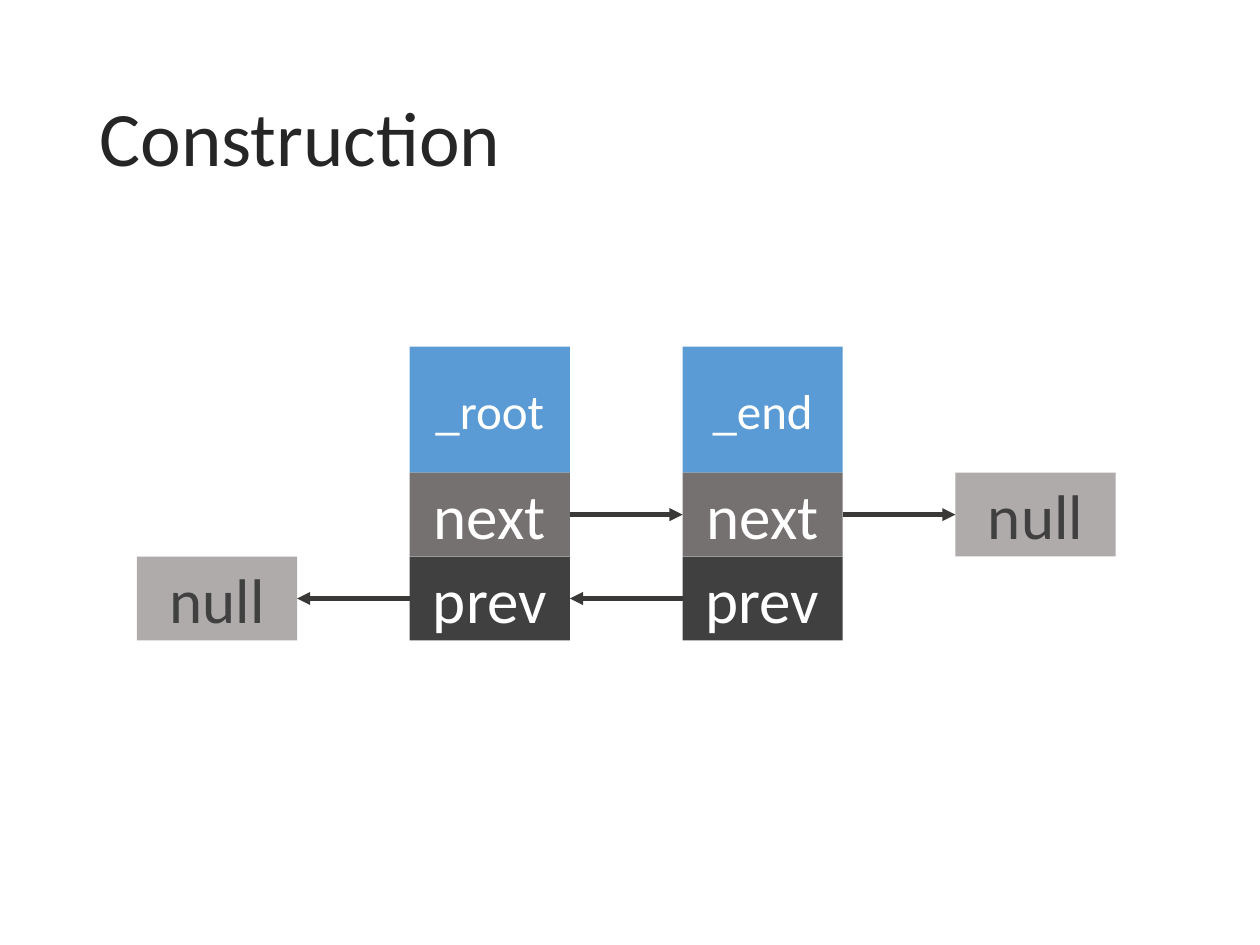
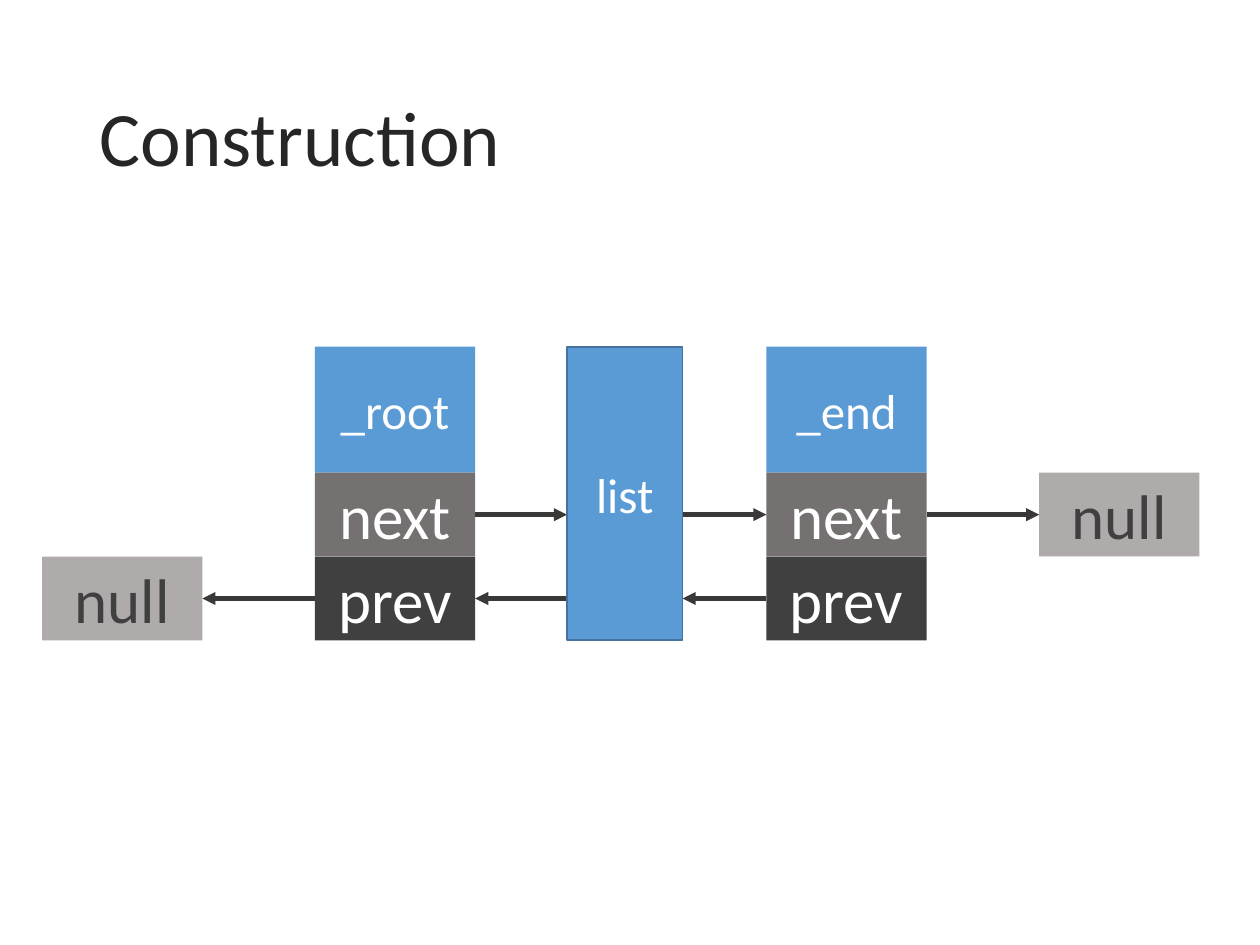
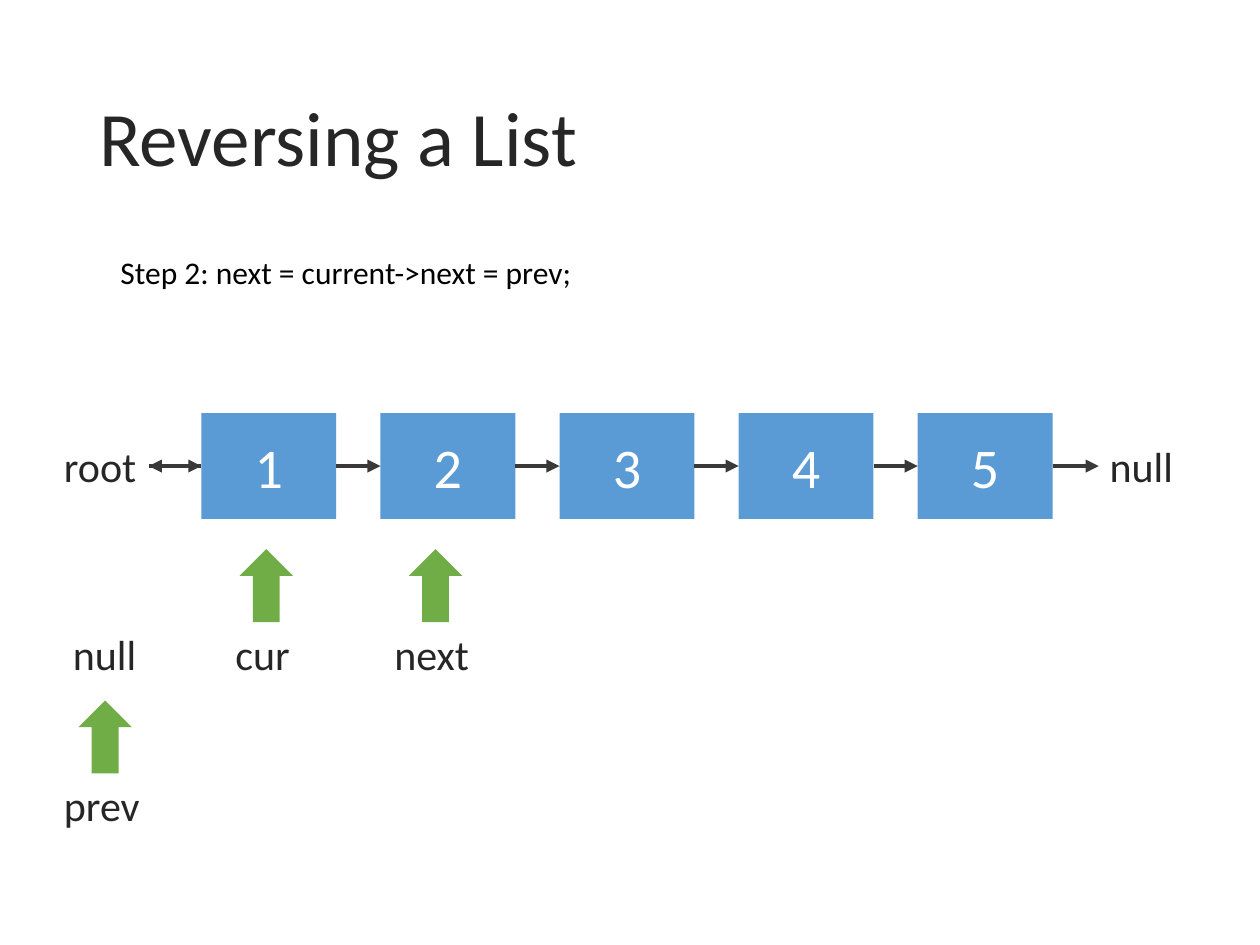
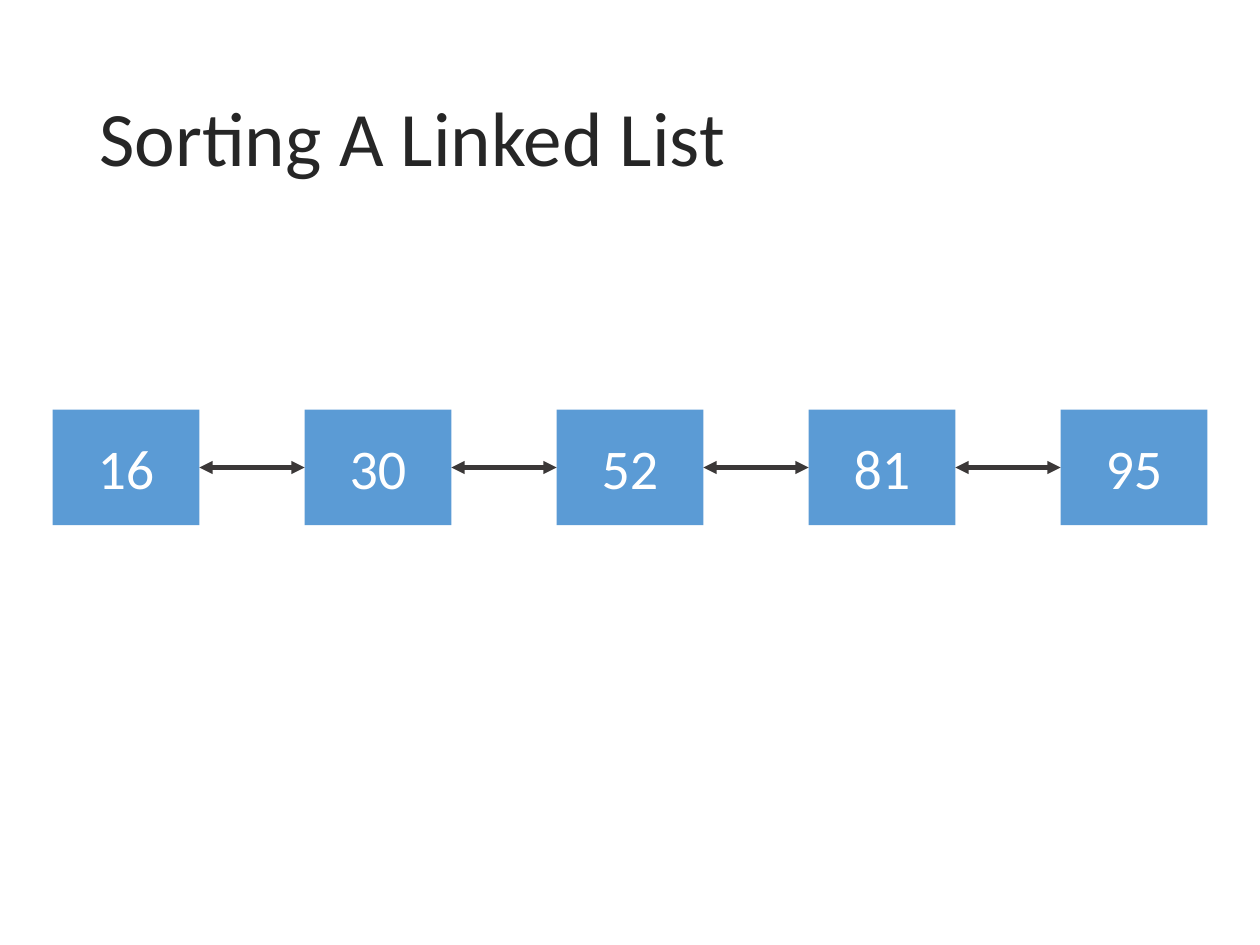
from lxml import etree
from pptx import Presentation
from pptx.dml.color import RGBColor
from pptx.enum.shapes import MSO_CONNECTOR, MSO_SHAPE
from pptx.enum.text import MSO_ANCHOR, MSO_AUTO_SIZE, PP_ALIGN
from pptx.oxml.ns import qn
from pptx.util import Cm, Pt

RECT, UP_ARROW = MSO_SHAPE.RECTANGLE, MSO_SHAPE.UP_ARROW
STRAIGHT = MSO_CONNECTOR.STRAIGHT
LEFT, CENTER = PP_ALIGN.LEFT, PP_ALIGN.CENTER
TOP, MIDDLE = MSO_ANCHOR.TOP, MSO_ANCHOR.MIDDLE
NO_FIT, GROW = MSO_AUTO_SIZE.NONE, MSO_AUTO_SIZE.SHAPE_TO_FIT_TEXT
LEFT_SIDE, RIGHT_SIDE = 1, 3
TITLE_ONLY = 5

FONT = "Calibri"
COLORS = {
    "text": "262626", "black": "000000", "white": "FFFFFF",
    "blue": "5B9BD5", "blue_line": "43739E", "green": "70AD47",
    "next": "767171", "prev": "404040", "null": "AFABAB", "line": "3B3838",
}

# Linked-list node, in cm
NODE_W, HEAD_H, CELL_H = 3.23, 2.54, 1.69
NODE_Y = 6.99
NEXT_Y = NODE_Y + HEAD_H
PREV_Y = NEXT_Y + CELL_H
NODE_H = HEAD_H + 2 * CELL_H
NODE_STEP = 5.5


class Deck:
    def __init__(self):
        self.prs = Presentation()
        self.prs.slide_width, self.prs.slide_height = Cm(25.4), Cm(19.05)
        self.s = None

    def color(self, name):
        return RGBColor.from_string(COLORS[name])

    def add_text(self, sp, text, size, color, align=LEFT, anchor=TOP, fit=NO_FIT):
        tf = sp.text_frame
        tf.word_wrap, tf.auto_size, tf.vertical_anchor = True, fit, anchor
        p = tf.paragraphs[0]
        p.alignment = align
        r = p.add_run()
        r.text = text
        r.font.name, r.font.size = FONT, Pt(size)
        r.font.color.rgb = self.color(color)
        return p

    def slide(self, title):
        self.s = self.prs.slides.add_slide(self.prs.slide_layouts[TITLE_ONLY])
        sp = self.s.shapes.title
        sp.left, sp.top, sp.width, sp.height = Cm(1.75), Cm(1.02), Cm(21.9), Cm(3.68)
        self.add_text(sp, title, 44, "text", anchor=MIDDLE).line_spacing = 0.9

    def shape(self, kind, x, y, w, h, fill, line=None, parent=None):
        sp = (parent or self.s).shapes.add_shape(kind, Cm(x), Cm(y), Cm(w), Cm(h))
        sp.shadow.inherit = False
        sp.fill.solid()
        sp.fill.fore_color.rgb = self.color(fill)
        if line:
            sp.line.color.rgb = self.color(line)
            sp.line.width = Pt(1)
        else:
            sp.line.fill.background()
        return sp

    def box(self, text, x, y, w, h, size, fill="blue", color="white", line=None):
        sp = self.shape(RECT, x, y, w, h, fill, line)
        self.add_text(sp, text, size, color, CENTER, MIDDLE)
        return sp

    def label(self, text, x, y, w, h=1.28, size=24, color="text", parent=None):
        sp = (parent or self.s).shapes.add_textbox(Cm(x), Cm(y), Cm(w), Cm(h))
        self.add_text(sp, text, size, color, fit=GROW)

    def link(self, start, end, head=False, tail=False):
        """Level line between two ends; each is a box or an x in cm."""
        anchor = end if isinstance(start, (int, float)) else start
        y = anchor.top + anchor.height // 2
        cx = self.s.shapes.add_connector(STRAIGHT, 0, y, 0, y)
        # The end goes first, so that the line never has to flip
        if isinstance(end, (int, float)):
            cx.end_x = Cm(end)
        else:
            cx.end_connect(end, LEFT_SIDE)
        if isinstance(start, (int, float)):
            cx.begin_x = Cm(start)
        else:
            cx.begin_connect(start, RIGHT_SIDE)
        cx.line.color.rgb = self.color("line")
        cx.line.width = Pt(2.5)
        sp_pr = cx._element.spPr
        ln = sp_pr.find(qn("a:ln"))
        for tag, wanted in (("a:headEnd", head), ("a:tailEnd", tail)):
            if wanted:
                etree.SubElement(ln, qn(tag), type="triangle")
        etree.SubElement(sp_pr, qn("a:effectLst"))

    def node(self, name, x):
        self.box(name, x, NODE_Y, NODE_W, HEAD_H, 28)
        return [self.box(text, x, y, NODE_W, CELL_H, 36, text)
                for text, y in (("next", NEXT_Y), ("prev", PREV_Y))]

    def null(self, x, y):
        return self.box("null", x, y, NODE_W, CELL_H, 36, "null", "prev")

    def ends(self, root_x, end_x):
        """Root and end nodes with their outer null links."""
        root, end = self.node("_root", root_x), self.node("_end", end_x)
        self.link(end[0], self.null(end_x + NODE_STEP, NEXT_Y), tail=True)
        self.link(self.null(root_x - NODE_STEP, PREV_Y), root[1], head=True)
        return root, end

    def row(self, texts, x, y, w, h, step):
        return [self.box(text, x + i * step, y, w, h, 32)
                for i, text in enumerate(texts)]

    def pointer(self, text, center, y, label_w):
        group = self.s.shapes.add_group_shape()
        w, h = 1.08, 1.47
        self.shape(UP_ARROW, center - w / 2, y, w, h, "green", parent=group)
        self.label(text, center - label_w / 2, y + h, label_w, parent=group)


def main():
    deck = Deck()

    # Empty list
    deck.slide("Construction")
    root, end = deck.ends(8.26, 8.26 + NODE_STEP)
    deck.link(root[0], end[0], tail=True)
    deck.link(root[1], end[1], head=True)

    # List between root and end
    deck.slide("Construction")
    root, end = deck.ends(6.35, 15.45)
    list_x, list_w = 11.43, 2.33
    for i, arrow in enumerate(({"tail": True}, {"head": True})):
        deck.link(root[i], list_x, **arrow)
        deck.link(list_x + list_w, end[i], **arrow)
    deck.box("list", list_x, NODE_Y, list_w, NODE_H, 28, line="blue_line")

    # Reversal, step 2
    deck.slide("Reversing a List")
    deck.label("Step 2: next = current->next = prev;", 2.18, 4.98, 21.74, 1.03, 18, "black")
    boxes = deck.row("12345", 4.06, 8.33, 2.72, 2.13, 3.61)
    deck.label("root", 1.04, 8.76, 2.16)
    deck.label("null", 22.12, 8.76, 1.82)
    deck.label("null", 1.22, 12.55, 1.82)
    for start, finish in zip([3.0] + boxes, boxes + [22.15]):
        deck.link(start, finish, tail=True)
    deck.link(3.0, boxes[0], head=True)
    for text, center, y, w in (("cur", 5.37, 11.07, 1.75),
                               ("prev", 2.12, 14.12, 2.16),
                               ("next", 8.78, 11.07, 2.16)):
        deck.pointer(text, center, y, w)

    # Sorted list
    deck.slide("Sorting A Linked List")
    boxes = deck.row(("16", "30", "52", "81", "95"), 1.06, 8.26, 2.96, 2.33, 5.08)
    for start, finish in zip(boxes, boxes[1:]):
        deck.link(start, finish, head=True, tail=True)

    deck.prs.save("out.pptx")


if __name__ == "__main__":
    main()
